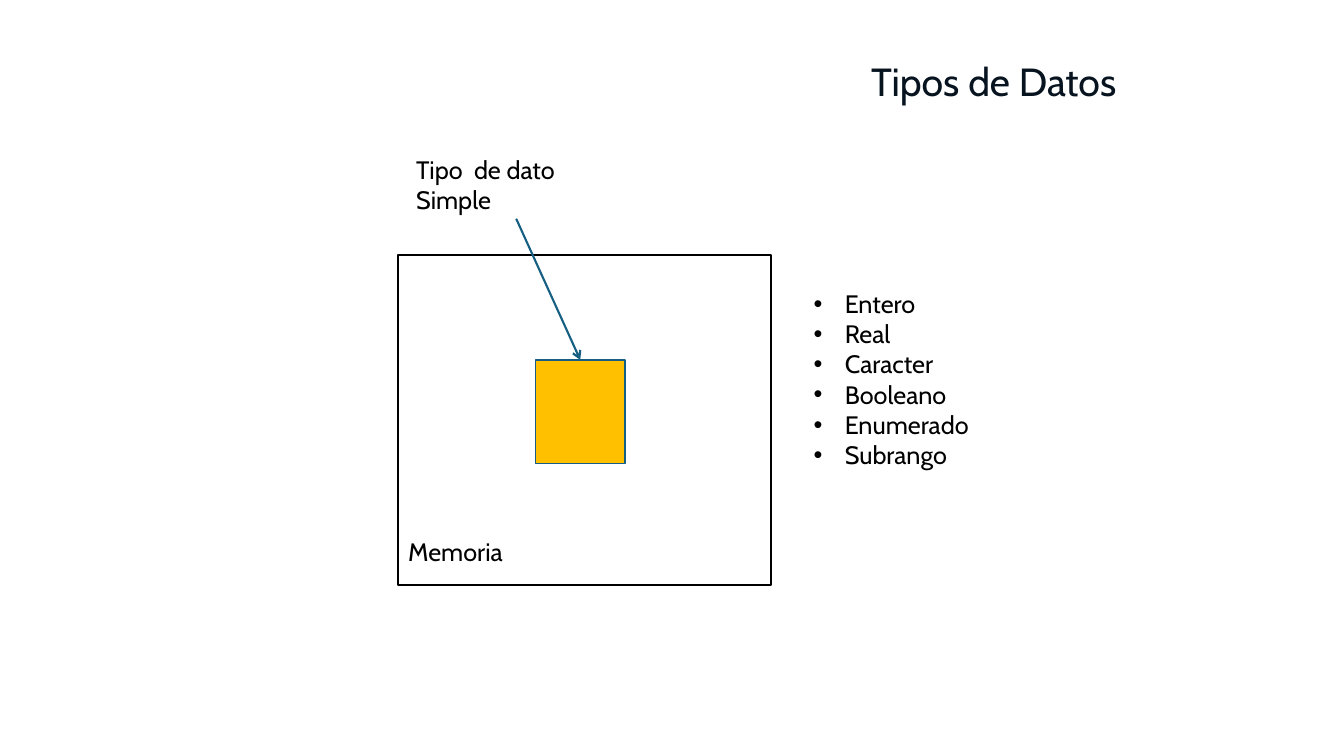
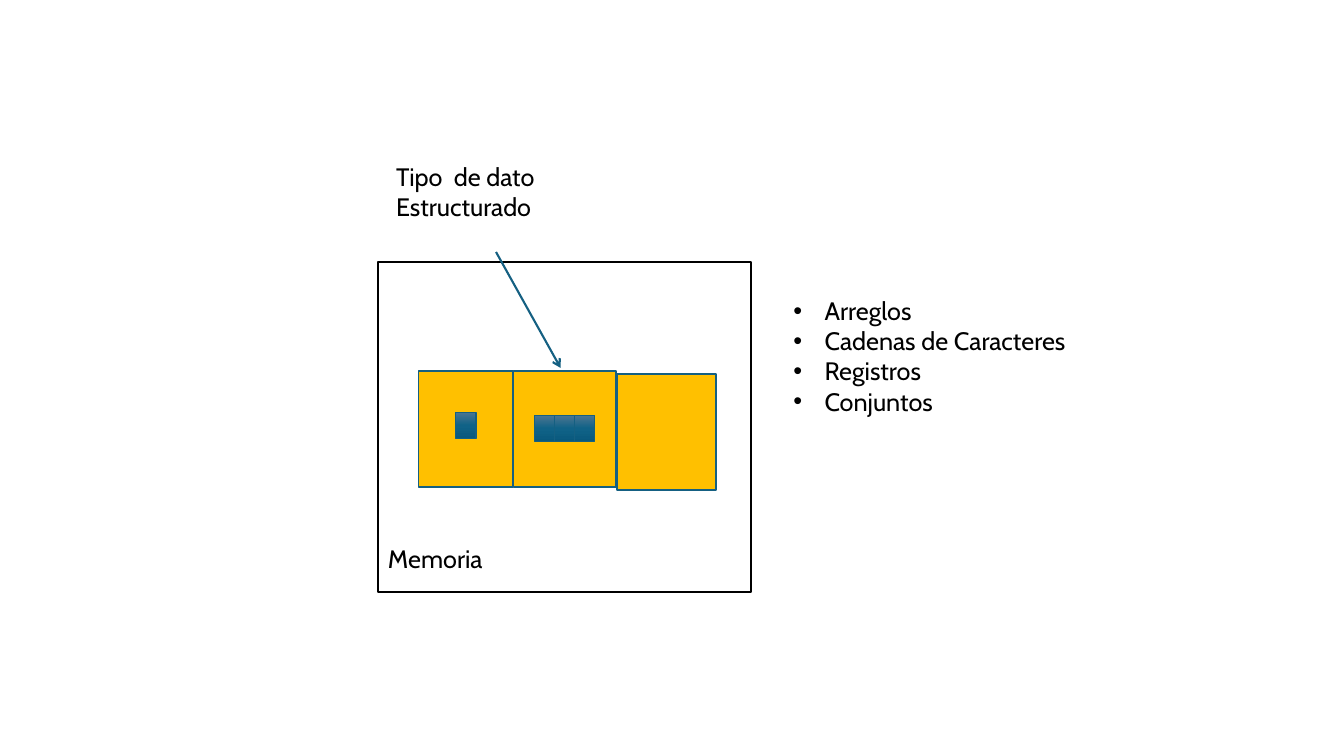
"""Build two slides on simple and structured data types in memory."""
from copy import deepcopy
from typing import NamedTuple

from lxml import etree
from pptx import Presentation
from pptx.dml.color import RGBColor
from pptx.enum.shapes import MSO_CONNECTOR, MSO_SHAPE
from pptx.enum.text import MSO_ANCHOR, MSO_AUTO_SIZE, PP_ALIGN
from pptx.oxml.ns import qn
from pptx.shapes.autoshape import Shape
from pptx.shapes.connector import Connector
from pptx.shapes.shapetree import GroupShapes, SlideShapes
from pptx.slide import Slide
from pptx.text.text import TextFrame
from pptx.util import Inches, Pt

RECT = MSO_SHAPE.RECTANGLE
STRAIGHT = MSO_CONNECTOR.STRAIGHT
LEFT, RIGHT = PP_ALIGN.LEFT, PP_ALIGN.RIGHT
TOP = MSO_ANCHOR.TOP
GROW = MSO_AUTO_SIZE.SHAPE_TO_FIT_TEXT

FONT = "Cabin"
COLORS = {
    "text": "000000",
    "title": "071420",
    "frame": "FFFFFF",
    "cell": "FFC000",
    "accent": "156082",
}
BYTE_STOPS = ((0, "4C7591"), (0.5, "106287"), (1, "09597D"))
BULLET_INDENT = Inches(0.31)
TOP_SIDE = 0


class Box(NamedTuple):
    left: float
    top: float
    width: float
    height: float


class Memory(NamedTuple):
    left: float
    top: float
    label: str
    items: tuple[str, ...]
    list_width: float
    list_height: float
    cells: tuple[Box, ...]


SIMPLE = Memory(
    3.95, 2.53, "Tipo  de dato Simple",
    ("Entero", "Real", "Caracter", "Booleano", "Enumerado", "Subrango"),
    1.85, 1.92, (Box(5.31, 3.57, 0.89, 1.03),),
)
STRUCTURED = Memory(
    3.75, 2.6, "Tipo  de dato Estructurado",
    ("Arreglos", "Cadenas de Caracteres", "Registros", "Conjuntos"),
    3.07, 1.62,
    (
        Box(4.15, 3.68, 0.94, 1.15),
        Box(5.09, 3.68, 1.02, 1.15),
        Box(6.12, 3.71, 0.98, 1.15),
    ),
)


def rgb(name: str) -> RGBColor:
    return RGBColor.from_string(COLORS[name])


def inches(box: Box) -> tuple[Inches, ...]:
    return tuple(Inches(v) for v in box)


def write(tf: TextFrame, *lines: str, size: float = 18, color: str = "text",
          align: PP_ALIGN = LEFT, bullet: bool = False) -> None:
    tf.word_wrap = True
    tf.vertical_anchor = TOP
    for i, line in enumerate(lines):
        p = tf.paragraphs[0] if i == 0 else tf.add_paragraph()
        p.alignment = align
        if bullet:
            pPr = p._p.get_or_add_pPr()
            pPr.set("marL", str(BULLET_INDENT))
            pPr.set("indent", str(-BULLET_INDENT))
            etree.SubElement(pPr, qn("a:buFont")).set("typeface", "Arial")
            etree.SubElement(pPr, qn("a:buChar")).set("char", "•")
        r = p.add_run()
        r.text = line
        r.font.name = FONT
        r.font.size = Pt(size)
        r.font.color.rgb = rgb(color)


def add_text(slide: Slide, box: Box, *lines: str, bullet: bool = False) -> None:
    tf = slide.shapes.add_textbox(*inches(box)).text_frame
    write(tf, *lines, bullet=bullet)
    tf.auto_size = GROW


def add_rect(shapes: SlideShapes | GroupShapes, box: Box, fill: str = "cell",
             line: str = "accent", weight: float = 1) -> Shape:
    sp = shapes.add_shape(RECT, *inches(box))
    sp.shadow.inherit = False
    sp.fill.solid()
    sp.fill.fore_color.rgb = rgb(fill)
    sp.line.color.rgb = rgb(line)
    sp.line.width = Pt(weight)
    return sp


def add_byte(shapes: SlideShapes | GroupShapes, left: float, top: float) -> None:
    sp = add_rect(shapes, Box(left, top, 0.2, 0.26))
    sp.fill.gradient()
    sp.fill.gradient_angle = 270
    stop_list = sp._element.spPr.find(".//" + qn("a:gsLst"))
    stop_list.append(deepcopy(stop_list[-1]))
    for stop, (position, color) in zip(sp.fill.gradient_stops, BYTE_STOPS):
        stop.position = position
        stop.color.rgb = RGBColor.from_string(color)


def add_arrow(slide: Slide, x1: float, y1: float, x2: float, y2: float) -> Connector:
    arrow = slide.shapes.add_connector(
        STRAIGHT, Inches(x1), Inches(y1), Inches(x2), Inches(y2))
    arrow.line.color.rgb = rgb("accent")
    arrow.line.width = Pt(1.5)
    etree.SubElement(arrow.line._get_or_add_ln(), qn("a:tailEnd")).set("type", "arrow")
    etree.SubElement(arrow._element.spPr, qn("a:effectLst"))
    return arrow


def draw_memory(slide: Slide, memory: Memory) -> list[Shape]:
    x, y = memory.left, memory.top
    add_rect(slide.shapes, Box(x, y, 3.7, 3.27), "frame", "text", 1.5)
    add_text(slide, Box(x + 0.08, y - 1.05, 1.65, 0.71), memory.label)
    add_text(slide, Box(x + 4.02, y + 0.28, memory.list_width, memory.list_height),
             *memory.items, bullet=True)
    add_text(slide, Box(x, y + 2.74, 1.36, 0.4), "Memoria")
    return [add_rect(slide.shapes, cell) for cell in memory.cells]


def simple_slide(slide: Slide) -> None:
    title = slide.shapes.title
    title.left, title.top, title.width, title.height = inches(Box(2.17, 0.52, 9, 1.25))
    write(title.text_frame, "Tipos de Datos", size=28, color="title", align=RIGHT)
    cell = draw_memory(slide, SIMPLE)[0]
    add_arrow(slide, 5.12, 2.17, 5.76, 3.57).end_connect(cell, TOP_SIDE)


def structured_slide(slide: Slide) -> None:
    draw_memory(slide, STRUCTURED)
    add_arrow(slide, 4.92, 2.5, 5.56, 3.65)
    add_byte(slide.shapes, 4.52, 4.09)
    group = slide.shapes.add_group_shape()
    for i in range(3):
        add_byte(group.shapes, 5.3 + 0.2 * i, 4.12)


def main() -> None:
    prs = Presentation()
    prs.slide_width, prs.slide_height = Inches(13.33), Inches(7.5)
    title_only, blank = prs.slide_layouts[5], prs.slide_layouts[6]
    simple_slide(prs.slides.add_slide(title_only))
    structured_slide(prs.slides.add_slide(blank))
    prs.save("out.pptx")


if __name__ == "__main__":
    main()
